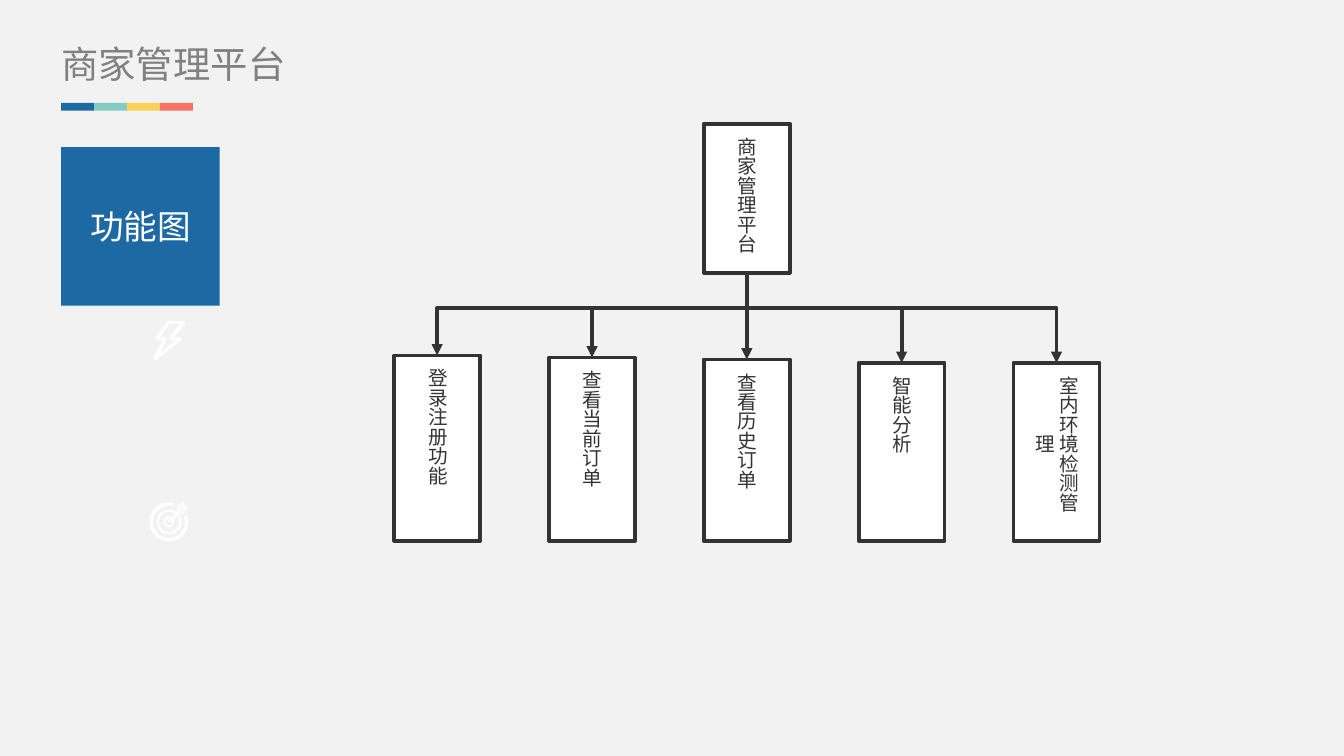
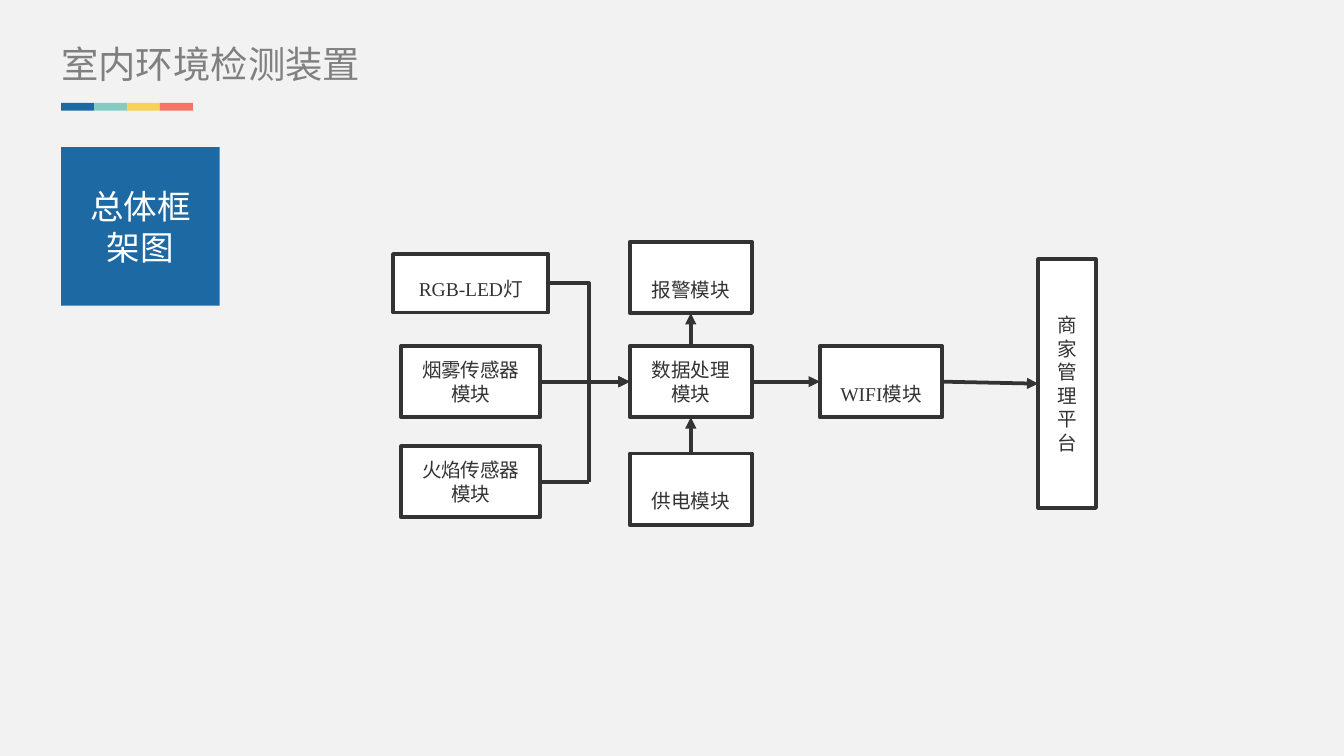
from dataclasses import dataclass
from math import cos, radians, sin

from lxml.etree import SubElement
from pptx import Presentation
from pptx.dml.color import RGBColor
from pptx.enum.shapes import MSO_CONNECTOR, MSO_SHAPE
from pptx.enum.text import MSO_ANCHOR, MSO_AUTO_SIZE, PP_ALIGN
from pptx.oxml.ns import qn
from pptx.util import Inches, Pt

COLORS = {
    "background": "F2F2F2",
    "title": "808080",
    "blue": "1D69A3",
    "teal": "84CBC3",
    "yellow": "F8D158",
    "coral": "F57365",
    "ink": "333333",
    "white": "FFFFFF",
}
TITLE_FONT = "Noto Sans CJK SC"
BADGE_FONT = "Calibri"
DIAGRAM_FONT = "Times New Roman"

# The slide is a grid of square cells, 100 columns across
WIDTH, HEIGHT = Inches(10), Inches(5.625)
CELL = WIDTH / 100
MARGIN = 4.55

Point = tuple[float, float]


@dataclass(frozen=True)
class Box:
    text: str
    left: float
    top: float
    width: float
    height: float
    spacing: float = 1
    vertical: bool = False

    @property
    def center(self) -> float:
        return self.left + self.width / 2

    @property
    def middle(self) -> float:
        return self.top + self.height / 2

    @property
    def right(self) -> float:
        return self.left + self.width

    @property
    def bottom(self) -> float:
        return self.top + self.height


@dataclass(frozen=True)
class Link:
    start: Point
    end: Point
    preset: str = "line"
    arrow: str = "tailEnd"


def cells(*lengths: float) -> list[int]:
    return [round(length * CELL) for length in lengths]


def color(name: str) -> RGBColor:
    return RGBColor.from_string(COLORS[name])


def paint(shape, fill: str) -> None:
    shape.shadow.inherit = False
    shape.fill.solid()
    shape.fill.fore_color.rgb = color(fill)
    shape.line.fill.background()


def write(frame, text: str, font: str, size: float, ink: str) -> None:
    frame.text = text
    for run in frame.paragraphs[0].runs:
        run.font.name = font
        run.font.size = Pt(size)
        run.font.color.rgb = color(ink)
        SubElement(run.font._element, qn("a:ea")).set("typeface", TITLE_FONT)


def draw_box(slide, box: Box) -> None:
    shape = slide.shapes.add_shape(
        MSO_SHAPE.RECTANGLE, *cells(box.left, box.top, box.width, box.height))
    paint(shape, "white")
    shape.line.color.rgb = color("ink")
    shape.line.width = Pt(2)
    frame = shape.text_frame
    write(frame, box.text, DIAGRAM_FONT, 10.5, "ink")
    frame.vertical_anchor = MSO_ANCHOR.MIDDLE
    frame.paragraphs[0].alignment = PP_ALIGN.CENTER
    if box.spacing != 1:
        frame.paragraphs[0].line_spacing = float(box.spacing)
    if box.vertical:
        frame._txBody.bodyPr.set("vert", "eaVert")
        frame.margin_left = frame.margin_right = Inches(0.05)
        frame.margin_top = frame.margin_bottom = Inches(0.05)


def draw_link(slide, link: Link) -> None:
    connector = slide.shapes.add_connector(
        MSO_CONNECTOR.STRAIGHT, *cells(*link.start, *link.end))
    connector.line.color.rgb = color("ink")
    connector.line.width = Pt(2)
    properties = connector._element.spPr
    properties.find(qn("a:prstGeom")).set("prst", link.preset)
    if link.arrow:
        SubElement(properties.find(qn("a:ln")), qn(f"a:{link.arrow}")).set("type", "triangle")
    SubElement(properties, qn("a:effectLst"))


def draw_icon(slide, contours: list[list[Point]]) -> None:
    # Freeform points are whole numbers, so they are given in EMU
    outlines = [[tuple(cells(*point)) for point in contour] for contour in contours]
    builder = slide.shapes.build_freeform(*outlines[0][0], scale=1.0)
    builder.add_line_segments(outlines[0][1:], close=True)
    for outline in outlines[1:]:
        builder.move_to(*outline[0])
        builder.add_line_segments(outline[1:], close=True)
    paint(builder.convert_to_shape(), "white")


def ring(center: Point, outer: float, inner: float, start: int, end: int) -> list[Point]:
    """Outline of an open ring, in degrees clockwise from the right."""
    steps = 48
    angles = [radians(start + (end - start) * i / steps) for i in range(steps + 1)]

    def arc(radius: float, turns: list[float]) -> list[Point]:
        return [(center[0] + radius * cos(a), center[1] + radius * sin(a)) for a in turns]

    return arc(outer, angles) + arc(inner, angles[::-1])


def start_slide(deck, title: str, badge: str):
    """Background, title, colour band and badge shared by the slides."""
    slide = deck.slides.add_slide(deck.slide_layouts[6])
    slide.background.fill.solid()
    slide.background.fill.fore_color.rgb = color("background")

    # Title
    heading = slide.shapes.add_textbox(*cells(MARGIN, 3.05, 30.4, 3.4)).text_frame
    heading.margin_left = heading.margin_right = 0
    heading.margin_top = heading.margin_bottom = 0
    heading.word_wrap = True
    heading.auto_size = MSO_AUTO_SIZE.SHAPE_TO_FIT_TEXT
    write(heading, title, TITLE_FONT, 20, "title")

    # Colour band
    band = slide.shapes.add_group_shape()
    stripe_width = 2.45
    for i, name in enumerate(("blue", "teal", "yellow", "coral")):
        stripe = band.shapes.add_shape(
            MSO_SHAPE.RECTANGLE,
            *cells(MARGIN + i * stripe_width, 7.65, stripe_width, 0.6))
        paint(stripe, name)

    # Badge
    square = slide.shapes.add_shape(MSO_SHAPE.RECTANGLE, *cells(MARGIN, 10.95, 11.8, 11.8))
    paint(square, "blue")
    write(square.text_frame, badge, BADGE_FONT, 18, "white")
    square.text_frame.vertical_anchor = MSO_ANCHOR.MIDDLE
    square.text_frame.paragraphs[0].alignment = PP_ALIGN.CENTER
    return slide


def build_functions(deck) -> None:
    slide = start_slide(deck, "商家管理平台", "功能图")

    # Lightning icon
    draw_icon(slide, [
        [(12.9, 25.1), (13.5, 25.1), (13.5, 25.3), (11.6, 26.8), (11.4, 26.6),
         (12.1, 25.3), (11.6, 25.3), (11.6, 25.1), (12.4, 24), (12.5, 23.9),
         (13.7, 23.9), (13.8, 24.1)],
        [(13.1, 25.3), (12.6, 25.3), (12.6, 25.1), (13.4, 24.1), (12.6, 24.1),
         (11.9, 25.1), (12.4, 25.1), (12.4, 25.2), (11.9, 26.3)],
    ])

    # Target icon: three rings, the dart and the two feathers
    bullseye = (12.58, 38.83)
    draw_icon(slide, [
        ring(bullseye, 1.45, 1.2, -20, 287),
        ring(bullseye, 0.92, 0.76, -35, 305),
        ring(bullseye, 0.4, 0.26, -25, 295),
        [(12.5, 38.75), (13.2, 38.05), (13.35, 38.2), (12.65, 38.9)],
        [(13.2, 37.7), (13.6, 37.3), (13.7, 37.4), (13.7, 37.6), (14, 37.7),
         (14, 37.8), (13.7, 38.2), (13.4, 38.2), (13.2, 38)],
        [(13.6, 37.5), (13.3, 37.8), (13.3, 37.9), (13.6, 37.7)],
        [(13.7, 37.8), (13.4, 38), (13.6, 38.1), (13.9, 37.8)],
    ])

    # Platform and its functions, in equal columns
    first, pitch, width, bottom = 29.33, 11.52, 6.4, 40.25
    tops = {"登录注册功能": 26.45, "查看当前订单": 26.6, "查看历史订单": 26.75,
            "智能分析": 27, "室内环境检测管理": 27}
    functions = [Box(text, first + i * pitch, top, width, bottom - top, vertical=True)
                 for i, (text, top) in enumerate(tops.items())]
    platform = Box("商家管理平台", functions[2].left, 9.2, width, 11.1, vertical=True)
    for box in [platform, *functions]:
        draw_box(slide, box)

    # Branches from the shared rail
    rail = 22.9
    for function in functions:
        tip = (function.center, function.top)
        if function is functions[2]:
            link = Link((platform.center, platform.bottom), tip)
        elif function in (functions[0], functions[-1]):
            link = Link((platform.center, rail), tip, "bentConnector2")
        else:
            link = Link((function.center, rail), tip)
        draw_link(slide, link)


def build_framework(deck) -> None:
    slide = start_slide(deck, "室内环境检测装置", "总体框架图")

    # Modules: sensors, processing column, network, platform
    height, row = 5.3, 25.75
    led = Box("RGB-LED灯", 29.25, 18.9, 11.55, 4.35, 1.5)
    smoke = Box("烟雾传感器模块", 29.85, row, 10.35, height)
    flame = Box("火焰传感器模块", 29.85, 33.2, 10.35, height)
    processing = Box("数据处理模块", 46.85, row, 9.1, height)
    power = Box("供电模块", 46.85, 33.75, 9.1, height, 2)
    alarm = Box("报警模块", 46.85, 18, 9.1, height, 2)
    wifi = Box("WIFI模块", 61, row, 9.1, height, 2)
    platform = Box("商家管理平台", 77.25, 19.3, 4.3, 18.5)
    for box in (led, smoke, flame, processing, power, alarm, wifi, platform):
        draw_box(slide, box)

    # Data and power flow
    entry = (processing.left, processing.middle)
    joint = ((led.right + processing.left) / 2, flame.middle)
    for link in (
        Link((processing.center, processing.top), (alarm.center, alarm.bottom)),
        Link((power.center, power.top), (processing.center, processing.bottom)),
        Link((led.right, led.middle), entry, "bentConnector3"),
        Link((smoke.right, smoke.middle), entry),
        Link(entry, joint, "bentConnector2", "headEnd"),
        Link((flame.right, flame.middle), joint, arrow=""),
        Link((processing.right, processing.middle), (wifi.left, wifi.middle)),
        Link((wifi.right, wifi.middle), (platform.left, platform.middle)),
    ):
        draw_link(slide, link)


def main() -> None:
    deck = Presentation()
    deck.slide_width, deck.slide_height = WIDTH, HEIGHT
    build_functions(deck)
    build_framework(deck)
    deck.save("out.pptx")


main()
